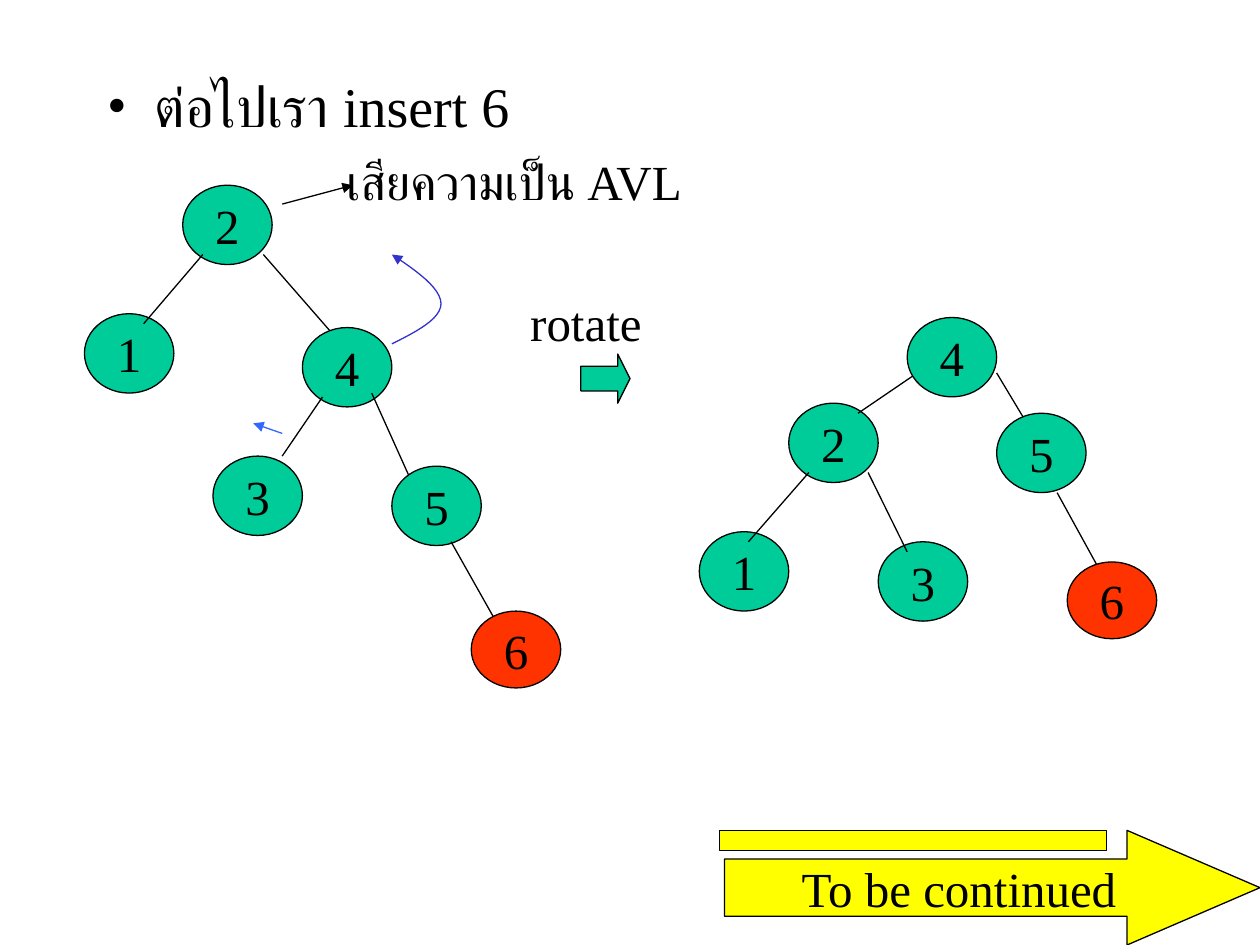
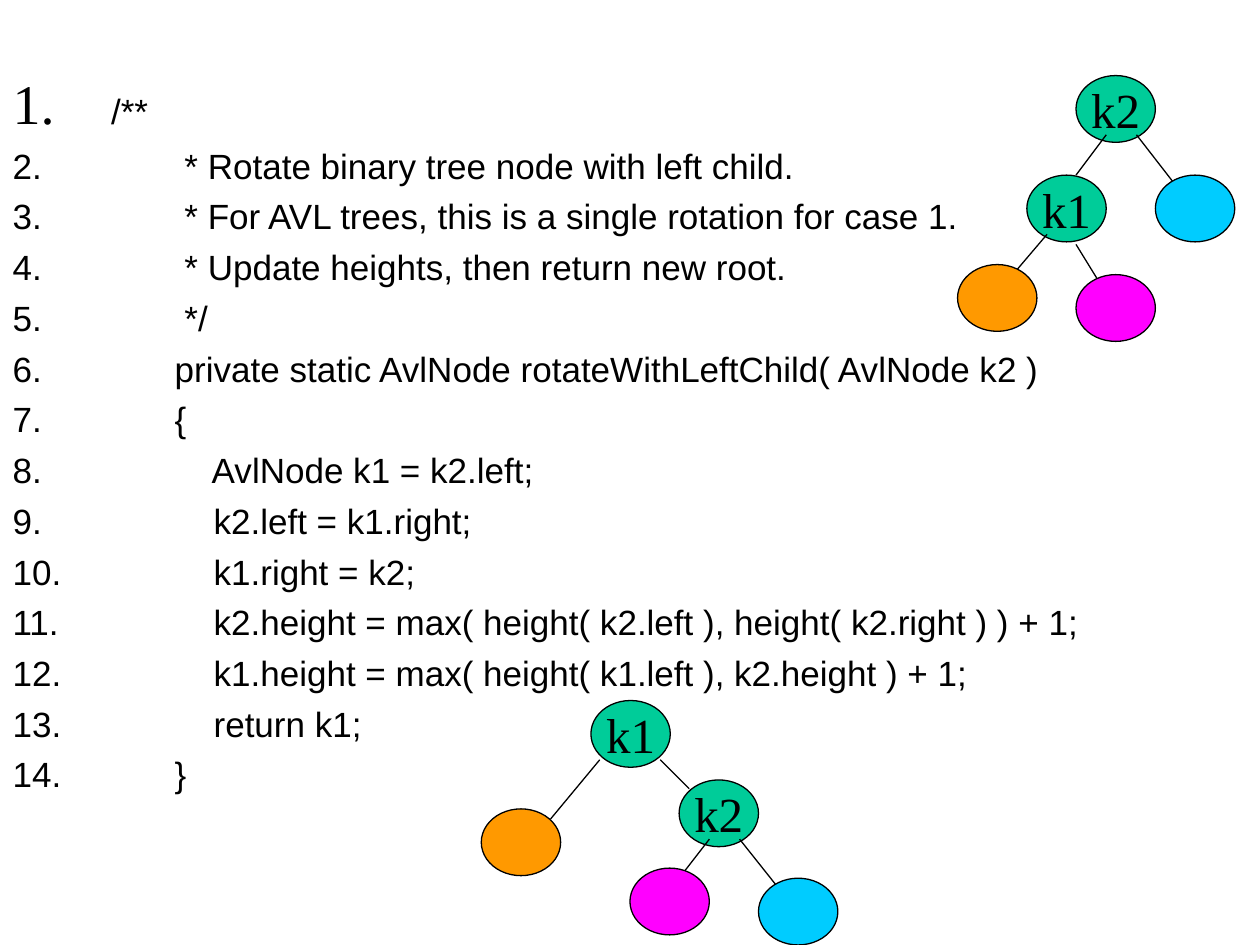
import pptx
import pptx.dml.color
import pptx.enum.dml
import pptx.enum.shapes
import pptx.enum.text
import pptx.oxml
import pptx.oxml.ns
import pptx.util

Inches = pptx.util.Inches
Pt = pptx.util.Pt
SHAPES = pptx.enum.shapes.MSO_SHAPE
ALIGN = pptx.enum.text.PP_ALIGN

# Shared style
COLOURS = {
    "ink": "000000", "green": "00CC99", "red": "FF3300", "yellow": "FFFF00",
    "orange": "FF9900", "magenta": "FF00FF", "cyan": "00CCFF",
    "curve": "3333CC", "move": "3366FF",
}
SERIF, SANS = "Times New Roman", "Arial"
LABEL_SIZE = 28

# Node kinds: fill, width, height
NODE_KINDS = {
    "old": ("green", 0.71, 0.63),
    "new": ("red", 0.71, 0.61),
    "k": ("green", 0.63, 0.53),
    "A": ("orange", 0.63, 0.53),
    "B": ("magenta", 0.63, 0.53),
    "C": ("cyan", 0.63, 0.53),
}

# Trees from back to front: nodes are (kind, label, left, top),
# edges are (from x, from y, to x, to y)
TREE_BEFORE = [
    ("old", "3", 1.69, 3.62),
    ("old", "2", 1.45, 1.47),
    (2.64, 2.65, 2.09, 2.02),
    ("old", "1", 0.67, 2.49),
    (1.61, 2.02, 1.14, 2.57),
    ("old", "4", 2.4, 2.6),
    (2.95, 3.12, 3.27, 3.83),
    (2.56, 3.15, 2.24, 3.62),
    ("old", "5", 3.11, 3.7),
    (3.58, 4.3, 3.98, 5.01),
    ("new", "6", 3.74, 4.85),
]
TREE_AFTER = [
    ("old", "3", 6.97, 4.3),
    ("old", "2", 6.26, 3.2),
    (7.28, 2.96, 6.81, 3.28),
    ("old", "1", 5.55, 4.22),
    (6.42, 3.75, 5.94, 4.3),
    ("old", "4", 7.2, 2.52),
    (7.91, 2.96, 8.15, 3.36),
    (6.89, 3.75, 7.2, 4.38),
    ("old", "5", 7.91, 3.28),
    (8.39, 3.91, 8.78, 4.62),
    ("new", "6", 8.47, 4.46),
]
TREE_K2_ROOT = [
    ("k", "k2", 8.54, 0.6),
    (8.78, 1.07, 8.54, 1.39),
    ("k", "k1", 8.15, 1.39),
    (8.31, 1.86, 7.91, 2.33),
    ("A", "", 7.6, 2.1),
    (8.54, 1.94, 8.78, 2.33),
    ("B", "", 8.54, 2.18),
    (9.02, 1.07, 9.33, 1.47),
    ("C", "", 9.17, 1.39),
]
TREE_K1_ROOT = [
    ("k", "k2", 5.39, 6.19),
    (5.63, 6.66, 5.39, 6.97),
    ("k", "k1", 4.69, 5.56),
    (4.76, 6.03, 4.37, 6.5),
    ("A", "", 3.82, 6.42),
    (5.24, 6.03, 5.47, 6.26),
    ("B", "", 5, 6.89),
    (5.87, 6.66, 6.18, 7.05),
    ("C", "", 6.02, 6.97),
]
ROTATION_CURVE = [
    [(3.11, 2.73), (3.31, 2.63), (3.5, 2.53), (3.5, 2.41)],
    [(3.5, 2.41), (3.5, 2.29), (3.31, 2.15), (3.11, 2.02)],
]
CODE_LINES = [
    "/**",
    "         * Rotate binary tree node with left child.",
    "         * For AVL trees, this is a single rotation for case 1.",
    "         * Update heights, then return new root.",
    "         */",
    "        private static AvlNode rotateWithLeftChild( AvlNode k2 )",
    "        {",
    "            AvlNode k1 = k2.left;",
    "            k2.left = k1.right;",
    "            k1.right = k2;",
    "            k2.height = max( height( k2.left ), height( k2.right ) ) + 1;",
    "            k1.height = max( height( k1.left ), k2.height ) + 1;",
    "            return k1;",
    "        }",
]


def rgb(name):
    return pptx.dml.color.RGBColor.from_string(COLOURS[name])


def add_element(parent, tag, **attributes):
    element = pptx.oxml.parse_xml(f"<a:{tag} {pptx.oxml.ns.nsdecls('a')}/>")
    for key, value in attributes.items():
        element.set(key, value)
    parent.append(element)
    return element


def add_run(paragraph, text, size=LABEL_SIZE, font=SERIF):
    run = paragraph.add_run()
    run.text = text
    run.font.size = Pt(size)
    run.font.name = font
    run.font.color.rgb = rgb("ink")
    add_element(run.font._element, "cs", typeface=font)


def style_line(shape, colour="ink", arrow=False):
    shape.line.color.rgb = rgb(colour)
    shape.line.width = Pt(0.75)
    if arrow:
        add_element(shape.line._get_or_add_ln(), "tailEnd", type="triangle")


def add_block(slide, preset, box, colour, label="", adjustments=()):
    shape = slide.shapes.add_shape(preset, *map(Inches, box))
    shape.shadow.inherit = False
    for index, value in enumerate(adjustments):
        shape.adjustments[index] = value
    shape.fill.solid()
    shape.fill.fore_color.rgb = rgb(colour)
    style_line(shape)
    if label:
        frame = shape.text_frame
        frame.word_wrap = False
        frame.vertical_anchor = pptx.enum.text.MSO_ANCHOR.MIDDLE
        frame.paragraphs[0].alignment = ALIGN.CENTER
        add_run(frame.paragraphs[0], label)


def add_edge(slide, ends, colour="ink", arrow=False):
    connector = slide.shapes.add_connector(
        pptx.enum.shapes.MSO_CONNECTOR.STRAIGHT, *map(Inches, ends))
    style_line(connector, colour, arrow)
    add_element(connector._element.spPr, "effectLst")


def add_tree(slide, parts):
    for part in parts:
        if part[0] in NODE_KINDS:
            kind, label, left, top = part
            colour, width, height = NODE_KINDS[kind]
            add_block(slide, SHAPES.OVAL, (left, top, width, height), colour, label)
        else:
            add_edge(slide, part)


def add_label(slide, box, text):
    frame = slide.shapes.add_textbox(*map(Inches, box)).text_frame
    frame.word_wrap = False
    frame.auto_size = pptx.enum.text.MSO_AUTO_SIZE.SHAPE_TO_FIT_TEXT
    add_run(frame.paragraphs[0], text)


def add_curve(slide, curves, colour, steps=12):
    """Draw a chain of cubic curves as one open outline with an arrowhead."""
    points = []
    for curve in curves:
        for step in range(1, steps + 1):
            t = step / steps
            weights = ((1 - t) ** 3, 3 * t * (1 - t) ** 2, 3 * t * t * (1 - t), t ** 3)
            points.append(tuple(
                Inches(sum(w * point[axis] for w, point in zip(weights, curve)))
                for axis in (0, 1)))
    builder = slide.shapes.build_freeform(*map(Inches, curves[0][0]))
    builder.add_line_segments(points, close=False)
    shape = builder.convert_to_shape()
    shape.shadow.inherit = False
    shape.fill.background()
    style_line(shape, colour, arrow=True)


def add_slide_with_body(presentation, box):
    slide = presentation.slides.add_slide(presentation.slide_layouts[1])
    title = slide.shapes.title._element
    title.getparent().remove(title)
    body = slide.placeholders[1]
    body.left, body.top, body.width, body.height = map(Inches, box)
    body.text_frame.word_wrap = True
    body.text_frame.auto_size = pptx.enum.text.MSO_AUTO_SIZE.NONE
    return slide, body.text_frame


def set_bullet(paragraph, indent, tag, font=None, **attributes):
    """Set a hanging bullet; without a font it follows the text."""
    properties = paragraph._p.get_or_add_pPr()
    properties.set("marL", str(Inches(indent)))
    properties.set("indent", str(-Inches(indent)))
    colour = add_element(properties, "buClr")
    add_element(colour, "srgbClr", val=COLOURS["ink"])
    if font:
        add_element(properties, "buFont", typeface=font)
    else:
        add_element(properties, "buFontTx")
    add_element(properties, tag, **attributes)


def build_insert_slide(presentation):
    slide, body = add_slide_with_body(presentation, (0.75, 0.52, 8.5, 4.5))
    paragraph = body.paragraphs[0]
    set_bullet(paragraph, 0.38, "buChar", SERIF, char="•")
    paragraph.space_before = Pt(0)
    add_run(paragraph, "ต่อไปเรา insert 6", 32)

    # Unbalanced tree and the rotation that repairs it
    add_tree(slide, TREE_BEFORE)
    add_edge(slide, (2.24, 1.62, 2.8, 1.47), arrow=True)
    add_label(slide, (2.65, 1.15, 2.91, 0.57), "เสียความเป็น AVL")
    add_block(slide, SHAPES.RIGHT_ARROW, (4.61, 2.81, 0.39, 0.39), "green",
              adjustments=(0.5, 0.25))
    add_label(slide, (4.11, 2.27, 1.12, 0.57), "rotate")
    add_tree(slide, TREE_AFTER)
    add_curve(slide, ROTATION_CURVE, "curve")
    add_edge(slide, (2.24, 3.44, 2.01, 3.36), "move", arrow=True)

    # Continuation arrow
    add_block(slide, SHAPES.RIGHT_ARROW, (5.75, 6.59, 4.25, 0.91), "yellow",
              "To be continued", (0.5, 1.16))
    add_block(slide, SHAPES.RECTANGLE, (5.71, 6.59, 3.07, 0.16), "yellow")


def build_code_slide(presentation):
    slide, body = add_slide_with_body(presentation, (0, 0.49, 9.61, 7.01))
    for index, line in enumerate(CODE_LINES):
        paragraph = body.add_paragraph() if index else body.paragraphs[0]
        set_bullet(paragraph, 0.67, "buAutoNum", type="arabicPeriod")
        paragraph.space_before = Pt(5 if index else 0)
        if index == 0:
            add_run(paragraph, " ", 32)
        add_run(paragraph, line, 20, SANS)
    add_tree(slide, TREE_K2_ROOT)
    add_tree(slide, TREE_K1_ROOT)


def main():
    presentation = pptx.Presentation()
    presentation.slide_width = Inches(10)
    presentation.slide_height = Inches(7.5)
    build_insert_slide(presentation)
    build_code_slide(presentation)
    presentation.save("out.pptx")


if __name__ == "__main__":
    main()
